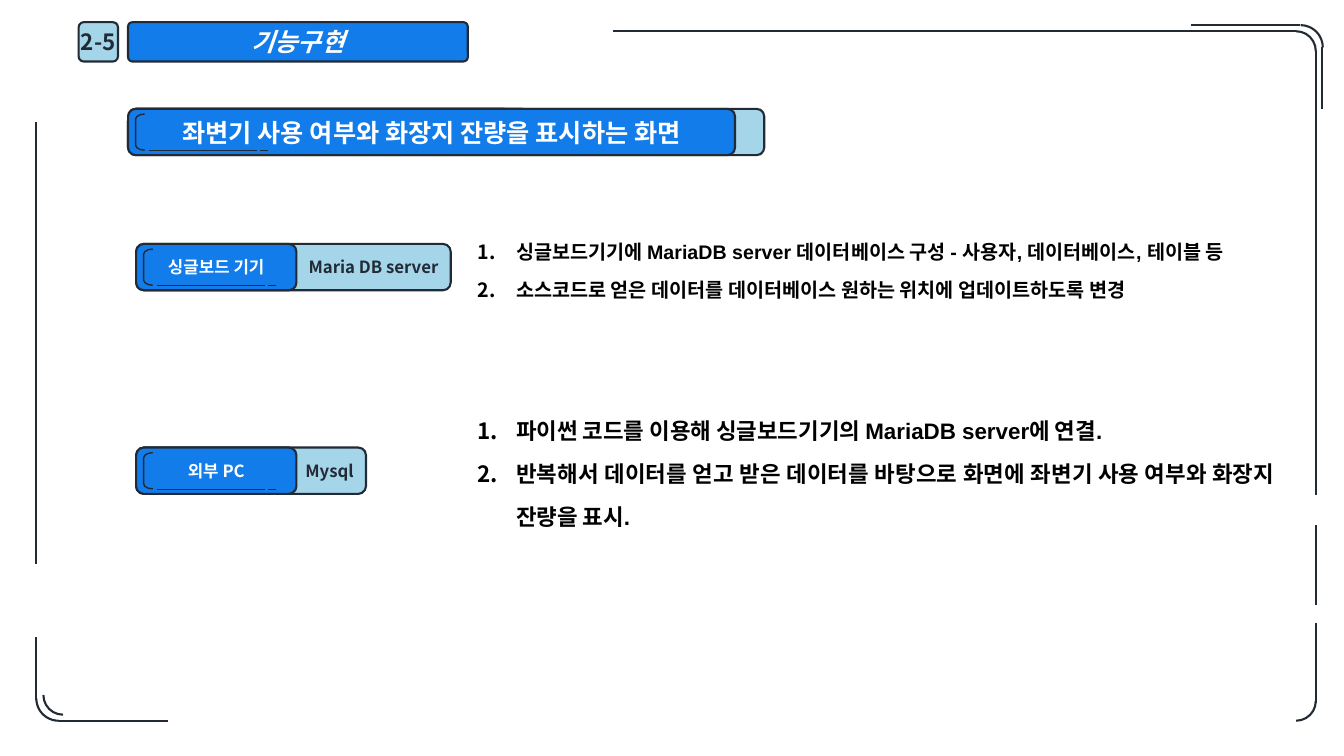
from lxml import etree
from pptx import Presentation
from pptx.dml.color import RGBColor
from pptx.enum.shapes import MSO_CONNECTOR, MSO_SHAPE
from pptx.enum.text import MSO_ANCHOR, MSO_AUTO_SIZE, PP_ALIGN
from pptx.oxml.ns import qn
from pptx.util import Inches, Pt

ROUND, ARC, BRACKET = MSO_SHAPE.ROUNDED_RECTANGLE, MSO_SHAPE.ARC, MSO_SHAPE.RIGHT_BRACKET
STRAIGHT = MSO_CONNECTOR.STRAIGHT
CENTER, RIGHT, JUSTIFY = PP_ALIGN.CENTER, PP_ALIGN.RIGHT, PP_ALIGN.JUSTIFY
MIDDLE, GROW = MSO_ANCHOR.MIDDLE, MSO_AUTO_SIZE.SHAPE_TO_FIT_TEXT

SLIDE_W, SLIDE_H = Inches(13.33), Inches(7.5)
CELL = SLIDE_H / 75  # square grid: 75 rows
BLUE, SKY, INK, WHITE, BLACK = "127CEA", "A5D5E9", "222A35", "FFFFFF", "000000"
KOREAN, LATIN = "Noto Sans CJK KR", "Arial"


def grid(*cells):
    return [round(n * CELL) for n in cells]


def color(hex_text):
    return RGBColor.from_string(hex_text)


def add_run(p, text, size, hex_text, font=KOREAN, italic=None):
    r = p.add_run()
    r.text = text
    r.font.size, r.font.bold, r.font.italic = Pt(size), True, italic
    r.font.name = font
    r.font.color.rgb = color(hex_text)
    ea = etree.SubElement(r.font._element, qn("a:ea"))
    ea.set("typeface", KOREAN)


def add_outline(slide, kind, box, fill=None, weight=1.5, adj=None, turn=0):
    sp = slide.shapes.add_shape(kind, *grid(*box))
    sp.shadow.inherit = False
    sp.rotation = turn
    if fill:
        sp.fill.solid()
        sp.fill.fore_color.rgb = color(fill)
    else:
        sp.fill.background()
    sp.line.color.rgb = color(INK)
    sp.line.width = Pt(weight)
    if adj is not None:
        sp.adjustments[0] = adj
    return sp


def add_line(slide, x1, y1, x2, y2, weight=1.5):
    line = slide.shapes.add_connector(STRAIGHT, *grid(x1, y1, x2, y2))
    line.line.color.rgb = color(INK)
    line.line.width = Pt(weight)
    etree.SubElement(line._element.spPr, qn("a:effectLst"))


def add_label(sp, text, size, hex_text, align=CENTER, italic=None, wrap=True):
    tf = sp.text_frame
    tf.word_wrap = wrap
    tf.vertical_anchor = MIDDLE
    p = tf.paragraphs[0]
    p.alignment = align
    add_run(p, text, size, hex_text, italic=italic)


def add_header(slide, x, y, number, title):
    """Section number and section title."""
    bar = add_outline(slide, ROUND, (x + 4.9, y, 33.7, 3.9), BLUE, adj=0.11)
    add_label(bar, title, 18, WHITE, italic=True)
    badge = add_outline(slide, ROUND, (x, y, 3.9, 3.9), SKY, adj=0.13)
    add_label(badge, number, 16, INK, wrap=False)


def add_frame(slide, left, top, right, bottom):
    """Broken border with rounded corners."""
    small, large = 3.9, 4.4
    arcs = [(right - small, top, small, 0),
            (right + 0.7 - large, top - 0.6, large, 0),
            (right - small, bottom - small, small, 90),
            (left + 0.7, bottom - 0.6 - small, small, 180),
            (left, bottom - large, large, 180)]
    for x, y, size, turn in arcs:
        add_outline(slide, ARC, (x, y, size, size), turn=turn)
    for x1, x2, y in [(right - 69.7, right - 2, top),
                      (right - 12.4, right - 1.6, top - 0.6),
                      (left + 2.2, left + 13.1, bottom)]:
        add_line(slide, x1, y, x2, y)
    for x, y1, y2 in [(right, top + 2, top + 46), (right, top + 49, top + 56.9),
                      (right, top + 58.7, top + 66.6),
                      (right + 0.6, top + 1.6, top + 7.7),
                      (left, top + 9, top + 52.9), (left, bottom - 8.3, bottom - 2.1)]:
        add_line(slide, x, y1, x, y2)


def add_tag(slide, x, y, w, front_w, text, size, side_text=None):
    """Blue label on a longer sky plate, with a sketched highlight."""
    plate = add_outline(slide, ROUND, (x, y, w, 4.6), SKY)
    if side_text:
        add_label(plate, side_text, 12, INK, RIGHT)
    front = add_outline(slide, ROUND, (x, y, front_w, 4.6), BLUE)
    add_label(front, text, size, WHITE)
    add_outline(slide, BRACKET, (x + 0.75, y + 0.5, 0.9, 3.6), weight=1, adj=0.56, turn=180)
    for start, end in [(2.1, 12.8), (13.1, 13.9)]:
        add_line(slide, x + start, y + 4.15, x + end, y + 4.15, 1)


def add_steps(slide, box, size, steps):
    """Numbered list."""
    tf = slide.shapes.add_textbox(*grid(*box)).text_frame
    tf.word_wrap = True
    tf.auto_size = GROW
    for i, step in enumerate(steps):
        p = tf.add_paragraph() if i else tf.paragraphs[0]
        p.alignment = JUSTIFY
        p.line_spacing = 1.6
        pPr = p._p.get_or_add_pPr()
        indent = Inches(0.38)
        pPr.set("marL", str(indent))
        pPr.set("indent", str(-indent))
        etree.SubElement(pPr, qn("a:buFont")).set("typeface", KOREAN)
        etree.SubElement(pPr, qn("a:buAutoNum")).set("type", "arabicPeriod")
        add_run(p, step, size, BLACK, LATIN)


def main():
    prs = Presentation()
    prs.slide_width, prs.slide_height = SLIDE_W, SLIDE_H
    slide = prs.slides.add_slide(prs.slide_layouts[6])

    add_header(slide, 7.8, 2.2, "2-5", "기능구현")
    add_frame(slide, 3.6, 3.1, 130.5, 71.5)
    add_tag(slide, 12.7, 10.8, 63.1, 60.2,
            "좌변기 사용 여부와 화장지 잔량을 표시하는 화면", 18)

    # Device side
    add_tag(slide, 13.5, 24.2, 31.2, 15.9, "싱글보드 기기", 12, "Maria DB server")
    add_steps(slide, (46.4, 21.9, 86.3, 8), 14, [
        "싱글보드기기에 MariaDB server 데이터베이스 구성 - 사용자, 데이터베이스, 테이블 등",
        "소스코드로 얻은 데이터를 데이터베이스 원하는 위치에 업데이트하도록 변경"])

    # Computer side
    add_tag(slide, 13.5, 44.4, 22.8, 15.9, "외부 PC", 12, "Mysql")
    add_steps(slide, (46.4, 39.3, 81.1, 17), 16, [
        "파이썬 코드를 이용해 싱글보드기기의 MariaDB server에 연결.",
        "반복해서 데이터를 얻고 받은 데이터를 바탕으로 화면에 좌변기 사용 여부와 화장지 잔량을 표시."])

    prs.save("out.pptx")


if __name__ == "__main__":
    main()
